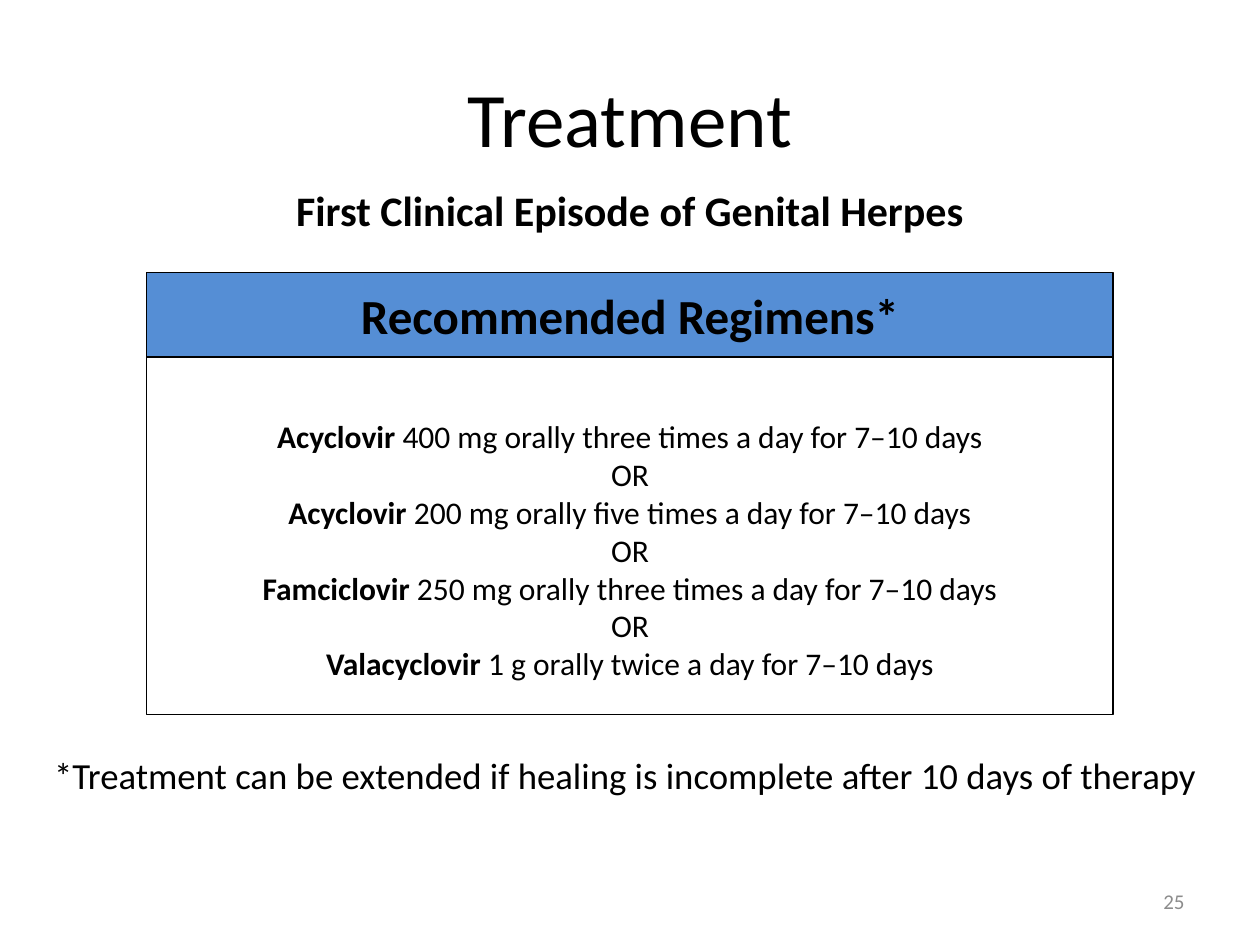
from pptx import Presentation
from pptx.dml.color import RGBColor
from pptx.enum.shapes import MSO_SHAPE
from pptx.enum.text import MSO_ANCHOR, PP_ALIGN
from pptx.util import Cm, Pt


def colour(value):
    return RGBColor.from_string(value)


def write(paragraph, text, size, bold=False, shade="000000", align=PP_ALIGN.CENTER):
    paragraph.alignment = align
    span = paragraph.add_run()
    span.text = text
    span.font.name = "Calibri"
    span.font.size = Pt(size)
    span.font.bold = bold
    span.font.color.rgb = colour(shade)


deck = Presentation()
deck.slide_width = Cm(25.4)
deck.slide_height = Cm(19.05)
page = deck.slides.add_slide(deck.slide_layouts[5])

title = page.shapes.title
title.left, title.top, title.width, title.height = Cm(1.27), Cm(0.76), Cm(22.86), Cm(3.18)
title.text_frame.vertical_anchor = MSO_ANCHOR.MIDDLE
write(title.text_frame.paragraphs[0], "Treatment", 44)

regimens = [
    ("Acyclovir", " 400 mg orally three times a day for 7–10 days"),
    ("Acyclovir", " 200 mg orally five times a day for 7–10 days"),
    ("Famciclovir", " 250 mg orally three times a day for 7–10 days"),
    ("Valacyclovir", " 1 g orally twice a day for 7–10 days"),
]

panel = page.shapes.add_group_shape()
frames = []
for top, height, fill in [(5.5, 1.7, "558ED5"), (7.2, 7.2, "FFFFFF")]:
    box = panel.shapes.add_shape(MSO_SHAPE.RECTANGLE, Cm(2.96), Cm(top), Cm(19.48), Cm(height))
    box.shadow.inherit = False
    box.fill.solid()
    box.fill.fore_color.rgb = colour(fill)
    box.line.color.rgb = colour("000000")
    box.line.width = Pt(0.75)
    box.text_frame.word_wrap = True
    box.text_frame.vertical_anchor = MSO_ANCHOR.MIDDLE
    frames.append(box.text_frame)

heading, body = frames
write(heading.paragraphs[0], "Recommended Regimens*", 28, bold=True)

body.margin_top = Cm(0.69)
for index, (drug, dose) in enumerate(regimens):
    if index == 0:
        paragraph = body.paragraphs[0]
    else:
        write(body.add_paragraph(), "OR", 18)
        paragraph = body.add_paragraph()
    write(paragraph, drug, 18, bold=True)
    write(paragraph, dose, 18)

labels = [
    (0.84, 15.04, 24.56, 1.14, MSO_ANCHOR.MIDDLE, PP_ALIGN.LEFT, 21, False, "000000",
     "*Treatment can be extended if healing is incomplete after 10 days of therapy"),
    (0, 3.6, 25.4, 1.7, MSO_ANCHOR.TOP, PP_ALIGN.CENTER, 24, True, "000000",
     "First Clinical Episode of Genital Herpes"),
    (18.2, 17.65, 5.93, 1.02, MSO_ANCHOR.MIDDLE, PP_ALIGN.RIGHT, 12, False, "8C8C8C", "25"),
]
for left, top, width, height, anchor, align, size, bold, shade, text in labels:
    box = page.shapes.add_textbox(Cm(left), Cm(top), Cm(width), Cm(height))
    box.text_frame.word_wrap = True
    box.text_frame.vertical_anchor = anchor
    write(box.text_frame.paragraphs[0], text, size, bold, shade, align)

deck.save("out.pptx")
